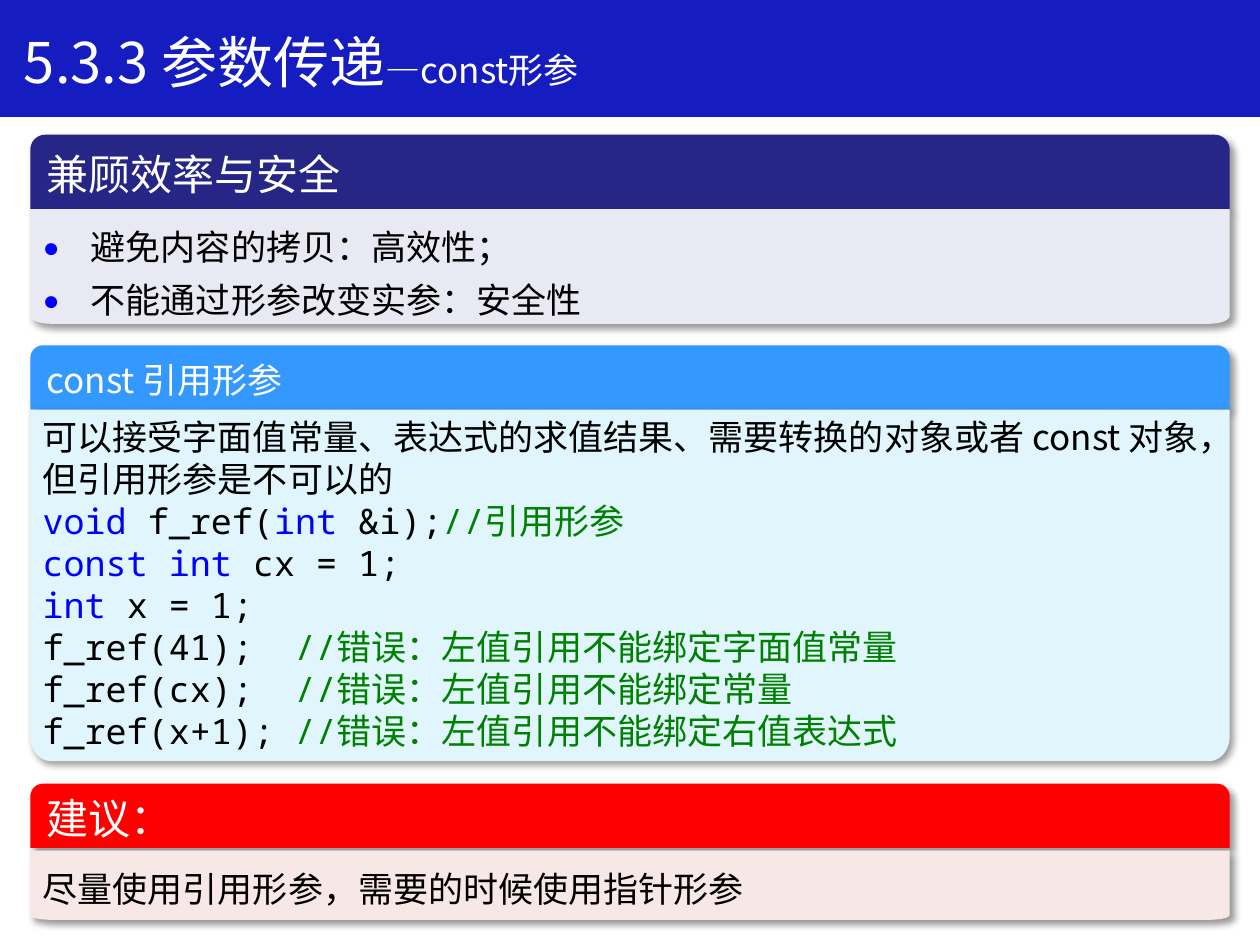
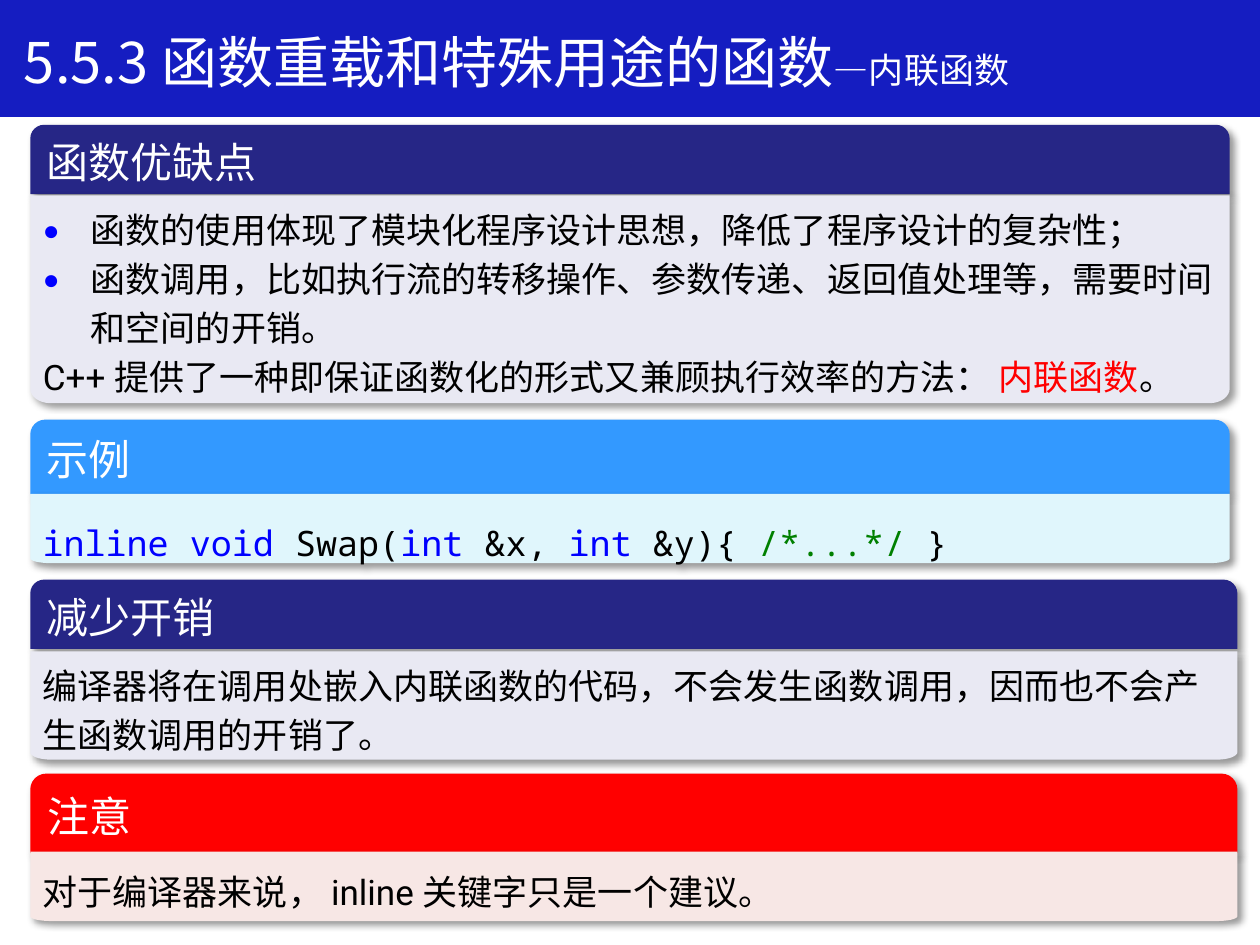
from dataclasses import dataclass
from math import cos, pi, sin
from typing import NamedTuple

from lxml import etree
from pptx import Presentation
from pptx.dml.color import RGBColor
from pptx.enum.shapes import MSO_SHAPE
from pptx.enum.text import MSO_ANCHOR, MSO_AUTO_SIZE, PP_ALIGN
from pptx.oxml.ns import qn
from pptx.util import Pt

RECTANGLE = MSO_SHAPE.RECTANGLE
ROUND_TOP = MSO_SHAPE.ROUND_2_SAME_RECTANGLE
TOP, MIDDLE = MSO_ANCHOR.TOP, MSO_ANCHOR.MIDDLE
LEFT_ALIGNED = PP_ALIGN.LEFT
NO_AUTOFIT = MSO_AUTO_SIZE.NONE

BAND_BLUE = RGBColor(0x15, 0x1D, 0xC1)
WHITE = RGBColor(0xFF, 0xFF, 0xFF)
BLACK = RGBColor(0, 0, 0)
KEYWORD_BLUE = RGBColor(0, 0, 0xFF)
COMMENT_GREEN = RGBColor(0, 0x80, 0)
RED = RGBColor(0xFF, 0, 0)
NAVY = RGBColor(0x26, 0x26, 0x86)
LAVENDER = RGBColor(0xE9, 0xE9, 0xF3)
SKY = RGBColor(0x33, 0x99, 0xFF)
PALE_CYAN = RGBColor(0xE0, 0xF6, 0xFC)
PINK = RGBColor(0xF7, 0xE7, 0xE5)

CJK, MONO = "Noto Sans CJK SC", "Noto Sans Mono"
LATIN, HEADING_MONO = "Roboto", "DejaVu Sans Mono"

PANEL_LEFT = 17.3
CORNER_WIDTH = 11.5
CORNER_SHARE = 0.07  # corner height as a share of the panel body
CORNER_STEPS = 8
BULLET_INDENT = 27.4
CODE_ADVANCE = 12  # width of one code character at 20 pt


class Piece(NamedTuple):
    text: str
    color: RGBColor = BLACK
    font: str = CJK
    size: float = 20


@dataclass(frozen=True)
class Line:
    pieces: list[Piece]
    spacing: float | Pt | None = None
    space_after: float = 0
    bullet: bool = False
    tab_column: int = 0


@dataclass(frozen=True)
class Scheme:
    header: RGBColor
    body: RGBColor


@dataclass(frozen=True)
class Panel:
    heading: Piece
    scheme: Scheme
    header_top: float
    header_height: float
    body_top: float
    body_height: float
    lines: list[Line]
    width: float = 685.4
    anchor: MSO_ANCHOR = TOP
    is_list: bool = False


@dataclass(frozen=True)
class Page:
    title: str
    subtitle: str
    title_width: float
    panels: list[Panel]


CONCEPT = Scheme(NAVY, LAVENDER)
EXAMPLE = Scheme(SKY, PALE_CYAN)
ADVICE = Scheme(RED, PINK)


def heading(text: str, font: str = CJK, size: float = 24) -> Piece:
    return Piece(text, WHITE, font, size)


def code(text: str) -> Piece:
    return Piece(text, BLACK, MONO)


def keyword(text: str) -> Piece:
    return Piece(text, KEYWORD_BLUE, MONO)


def comment(text: str) -> list[Piece]:
    return [Piece("//", COMMENT_GREEN, MONO), Piece(text, COMMENT_GREEN)]


def wrong_call(call: str, reason: str, column: int) -> Line:
    """A code line whose error comment starts at the given column."""
    return Line([code(call + "\t"), *comment(reason)], tab_column=column)


def bullet(text: str, spacing: float) -> Line:
    return Line([Piece(text)], Pt(spacing), bullet=True)


PAGES = [
    Page("5.3.3 参数传递", "—const形参", 386.6, [
        Panel(heading("兼顾效率与安全"), CONCEPT, 77, 42.5, 119.5, 65.5, [
            bullet("避免内容的拷贝：高效性；", 30),
            bullet("不能通过形参改变实参：安全性", 30),
        ], is_list=True),
        Panel(heading("const 引用形参", size=20), EXAMPLE, 197.3, 36.7, 234, 200.9, [
            Line([Piece("可以接受字面值常量、表达式的求值结果、需要转换的对象或者 "
                        "const 对象，但引用形参是不可以的")]),
            Line([keyword("void "), code("f_ref("), keyword("int "), code("&i);"),
                  *comment("引用形参")]),
            Line([keyword("const int "), code("cx = 1;")]),
            Line([keyword("int "), code("x = 1;")]),
            wrong_call("f_ref(41);", "错误：左值引用不能绑定字面值常量", 16),
            wrong_call("f_ref(cx);", "错误：左值引用不能绑定常量", 17),
            wrong_call("f_ref(x+1);", "错误：左值引用不能绑定右值表达式", 15),
        ]),
        Panel(heading("建议：", HEADING_MONO), ADVICE, 447.8, 36.7, 486, 39.6, [
            Line([Piece("尽量使用引用形参，需要的时候使用指针形参")], Pt(30), 12),
        ]),
    ]),
    Page("5.5.3 函数重载和特殊用途的函数", "—内联函数", 663.8, [
        Panel(heading("函数优缺点"), CONCEPT, 71.3, 39.6, 111.6, 118.8, [
            bullet("函数的使用体现了模块化程序设计思想，降低了程序设计的复杂性；", 28),
            bullet("函数调用，比如执行流的转移操作、参数传递、返回值处理等，"
                   "需要时间和空间的开销。", 28),
            Line([Piece("C++ ", font=LATIN),
                  Piece("提供了一种即保证函数化的形式又兼顾执行效率的方法： "),
                  Piece("内联函数", RED), Piece("。")], Pt(28)),
        ], is_list=True),
        Panel(heading("减少开销"), CONCEPT, 331.2, 39.6, 372.2, 61.9, [
            Line([Piece("编译器将在调用处嵌入内联函数的代码，不会发生函数调用，"
                        "因而也不会产生函数调用的开销了。")], Pt(28)),
        ], width=689.8),
        Panel(heading("注意", HEADING_MONO), ADVICE, 442.1, 45.4, 486.7, 39.6, [
            Line([Piece("对于编译器来说， "), Piece("inline ", font=LATIN),
                  Piece("关键字只是一个建议。")], Pt(30), 12),
        ], width=689.8, anchor=MIDDLE),
        Panel(heading("示例"), EXAMPLE, 239.8, 42.5, 282.2, 39.6, [
            Line([keyword("inline void "), code("Swap("), keyword("int "), code("&x, "),
                  keyword("int "), code("&y){ "),
                  Piece("/*...*/ ", COMMENT_GREEN, MONO), code("}")], 1.5),
        ]),
    ]),
]


def add_child(parent, tag: str, **attributes):
    return etree.SubElement(parent, qn(tag), attributes)


def write_piece(paragraph, piece: Piece) -> None:
    run = paragraph.add_run()
    run.text = piece.text
    run.font.size = Pt(piece.size)
    run.font.color.rgb = piece.color
    run.font.name = piece.font
    add_child(run.font._element, "a:ea", typeface=piece.font)


def write_line(paragraph, line: Line) -> None:
    paragraph.alignment = LEFT_ALIGNED
    paragraph.space_before = Pt(0)
    paragraph.space_after = Pt(line.space_after)
    if line.spacing:
        paragraph.line_spacing = line.spacing
    properties = paragraph._p.get_or_add_pPr()
    properties.set("hangingPunct", "1")
    indent = Pt(BULLET_INDENT) if line.bullet else 0
    properties.set("marL", str(indent))
    properties.set("indent", str(-indent))
    if line.bullet:
        bullet_color = add_child(properties, "a:buClr")
        add_child(bullet_color, "a:srgbClr", val=str(KEYWORD_BLUE))
        add_child(properties, "a:buSzPct", val="80000")
        add_child(properties, "a:buFont", typeface=MONO)
        add_child(properties, "a:buChar", char="●")
    else:
        add_child(properties, "a:buNone")
    if line.tab_column:
        tabs = add_child(properties, "a:tabLst")
        add_child(tabs, "a:tab", pos=str(Pt(line.tab_column * CODE_ADVANCE)), algn="l")
    for piece in line.pieces:
        write_piece(paragraph, piece)


def write_lines(shape, lines: list[Line], anchor: MSO_ANCHOR) -> None:
    frame = shape.text_frame
    frame.word_wrap = True
    frame.auto_size = NO_AUTOFIT
    frame.vertical_anchor = anchor
    for index, line in enumerate(lines):
        write_line(frame.add_paragraph() if index else frame.paragraphs[0], line)


def place(shape, left: float, top: float, width: float, height: float) -> None:
    shape.left, shape.top = Pt(left), Pt(top)
    shape.width, shape.height = Pt(width), Pt(height)


def paint_with_shadow(shape, color: RGBColor) -> None:
    shape.fill.solid()
    shape.fill.fore_color.rgb = color
    shape.line.fill.background()
    shape.shadow.inherit = False
    effects = shape._element.spPr.find(qn("a:effectLst"))
    shadow = add_child(effects, "a:outerShdw", blurRad=str(Pt(4)), dist=str(Pt(3)),
                       dir="2700000", algn="tl", rotWithShape="0")
    shade = add_child(shadow, "a:srgbClr", val=str(BLACK))
    add_child(shade, "a:alpha", val="40000")


def add_round_bottom(shapes, panel: Panel):
    """Outline with square top corners and elliptical bottom corners."""
    right = PANEL_LEFT + panel.width
    bottom = panel.body_top + panel.body_height
    corner_height = panel.body_height * CORNER_SHARE
    angles = [pi / 2 * step / CORNER_STEPS for step in range(CORNER_STEPS + 1)]
    inset = [(CORNER_WIDTH * (1 - cos(a)), corner_height * (1 - sin(a))) for a in angles]
    points = [(right, panel.body_top)]
    points += [(right - dx, bottom - dy) for dx, dy in inset]
    points += [(PANEL_LEFT + dx, bottom - dy) for dx, dy in reversed(inset)]
    outline = shapes.build_freeform(Pt(PANEL_LEFT), Pt(panel.body_top))
    outline.add_line_segments([(Pt(x), Pt(y)) for x, y in points])
    return outline.convert_to_shape()


def add_panel(slide, panel: Panel) -> None:
    shapes = slide.shapes.add_group_shape().shapes
    header = shapes.add_shape(ROUND_TOP, Pt(PANEL_LEFT), Pt(panel.header_top),
                              Pt(panel.width), Pt(panel.header_height))
    header.adjustments[0] = 0.2
    paint_with_shadow(header, panel.scheme.header)
    write_lines(header, [Line([panel.heading])], MIDDLE)

    body = add_round_bottom(shapes, panel)
    paint_with_shadow(body, panel.scheme.body)
    if panel.is_list:
        body = slide.placeholders[1]
        place(body, PANEL_LEFT, panel.body_top, panel.width, panel.body_height)
        slide.shapes.element.append(body.element)  # bring in front of its panel
    write_lines(body, panel.lines, panel.anchor)


def add_title_band(slide, width: int) -> None:
    """Blue band behind the title."""
    band = slide.shapes.add_shape(RECTANGLE, 0, 0, width, Pt(66.2))
    band.shadow.inherit = False
    band.fill.solid()
    band.fill.fore_color.rgb = BAND_BLUE
    band.line.color.rgb = BAND_BLUE
    band.line.width = Pt(1)
    slide.shapes.element.insert(2, band.element)


def add_page(presentation, page: Page) -> None:
    slide = presentation.slides.add_slide(presentation.slide_layouts[1])
    add_title_band(slide, presentation.slide_width)
    title = slide.shapes.title
    place(title, 6.5, 12.2, page.title_width, 46)
    write_lines(title, [Line([heading(page.title, size=32),
                              heading(page.subtitle, size=20)])], TOP)
    for panel in page.panels:
        add_panel(slide, panel)


def main() -> None:
    presentation = Presentation()
    presentation.slide_width, presentation.slide_height = Pt(720), Pt(540)
    for page in PAGES:
        add_page(presentation, page)
    presentation.save("out.pptx")


if __name__ == "__main__":
    main()
